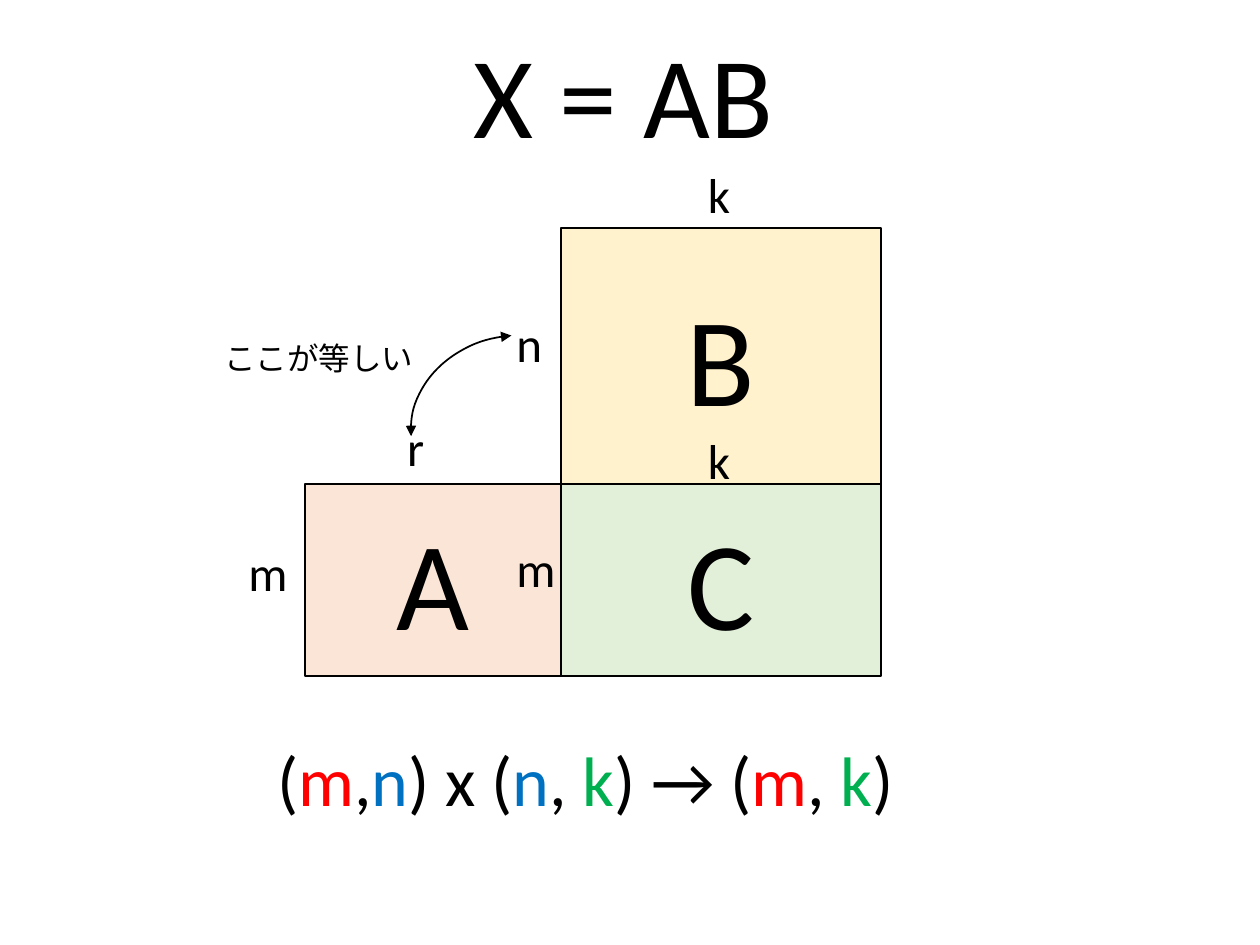
from lxml.etree import SubElement
from pptx import Presentation
from pptx.dml.color import RGBColor
from pptx.enum.shapes import MSO_SHAPE
from pptx.enum.text import MSO_ANCHOR, MSO_AUTO_SIZE, PP_ALIGN
from pptx.oxml.ns import qn
from pptx.util import Pt

BLACK, RED, BLUE, GREEN = "000000", "FF0000", "0070C0", "00B050"


def paint(color):
    return RGBColor.from_string(color)


def write(frame, text, size=28, font="Calibri", tints=None,
          align=PP_ALIGN.LEFT, anchor=MSO_ANCHOR.TOP, wrap=True, grow=True):
    frame.word_wrap = wrap
    frame.vertical_anchor = anchor
    frame.auto_size = MSO_AUTO_SIZE.SHAPE_TO_FIT_TEXT if grow else MSO_AUTO_SIZE.NONE
    line = frame.paragraphs[0]
    line.alignment = align
    parts = [text] if tints is None else text
    for part in parts:
        run = line.add_run()
        run.text = part
        run.font.size = Pt(size)
        run.font.name = font
        run.font.color.rgb = paint((tints or {}).get(part, BLACK))


class Board:
    def __init__(self, slide, ink=BLACK, width=1):
        self.slide = slide
        self.ink = ink
        self.width = width

    def title(self, text, box, size):
        shape = self.slide.shapes.title
        shape.left, shape.top, shape.width, shape.height = map(Pt, box)
        write(shape.text_frame, text, size=size, wrap=False)

    def label(self, text, box, **style):
        shape = self.slide.shapes.add_textbox(*map(Pt, box))
        write(shape.text_frame, text, **style)

    def shape(self, kind, box):
        shape = self.slide.shapes.add_shape(kind, *map(Pt, box))
        shape.shadow.inherit = False
        shape.line.color.rgb = paint(self.ink)
        shape.line.width = Pt(self.width)
        return shape

    def block(self, text, box, fill):
        shape = self.shape(MSO_SHAPE.RECTANGLE, box)
        shape.fill.solid()
        shape.fill.fore_color.rgb = paint(fill)
        write(shape.text_frame, text, size=72, align=PP_ALIGN.CENTER,
              anchor=MSO_ANCHOR.MIDDLE, grow=False)

    def curve(self, box, turn):
        shape = self.shape(MSO_SHAPE.ARC, box)
        shape.fill.background()
        shape.rotation = turn
        line = shape.line._get_or_add_ln()
        for end in ("a:headEnd", "a:tailEnd"):
            SubElement(line, qn(end), type="triangle")


def main():
    deck = Presentation()
    deck.slide_width, deck.slide_height = Pt(720), Pt(540)
    board = Board(deck.slides.add_slide(deck.slide_layouts[5]))

    left, top = 174.4, 130.3
    m, n, k = 109.7, 146.2, 182.9
    mid, row = left + n, top + n
    board.block("A", (left, row, n, m), "FBE5D6")
    board.block("B", (mid, top, k, n), "FFF2CC")
    board.block("C", (mid, row, k, m), "E2F0D9")

    for text, x, y, wide in (
        ("m", 134.8, 306.2, 34),
        ("r", 225.5, 235.2, 38),
        ("n", 288, 175.4, 38),
        ("k", 397.4, 90.5, 38),
        ("m", 288, 304.3, 34),
        ("k", 397.4, 242.4, 38),
    ):
        board.label(text, (x, y, wide, 41.2))

    board.title("X = AB", (263.5, 9.4, 188, 87.2), 66)
    board.curve((243.4, 182.9, 105.8, 123.1), 265.6)
    board.label("ここが等しい", (121, 190, 123.8, 29), size=18, wrap=False)
    board.label(
        ["(", "m", ",", "n", ") x (", "n", ", ", "k", ") → (", "m", ", ", "k", ")"],
        (151.2, 417.6, 370.8, 55.7), size=40, wrap=False,
        tints={"m": RED, "n": BLUE, "k": GREEN})

    deck.save("out.pptx")


if __name__ == "__main__":
    main()
